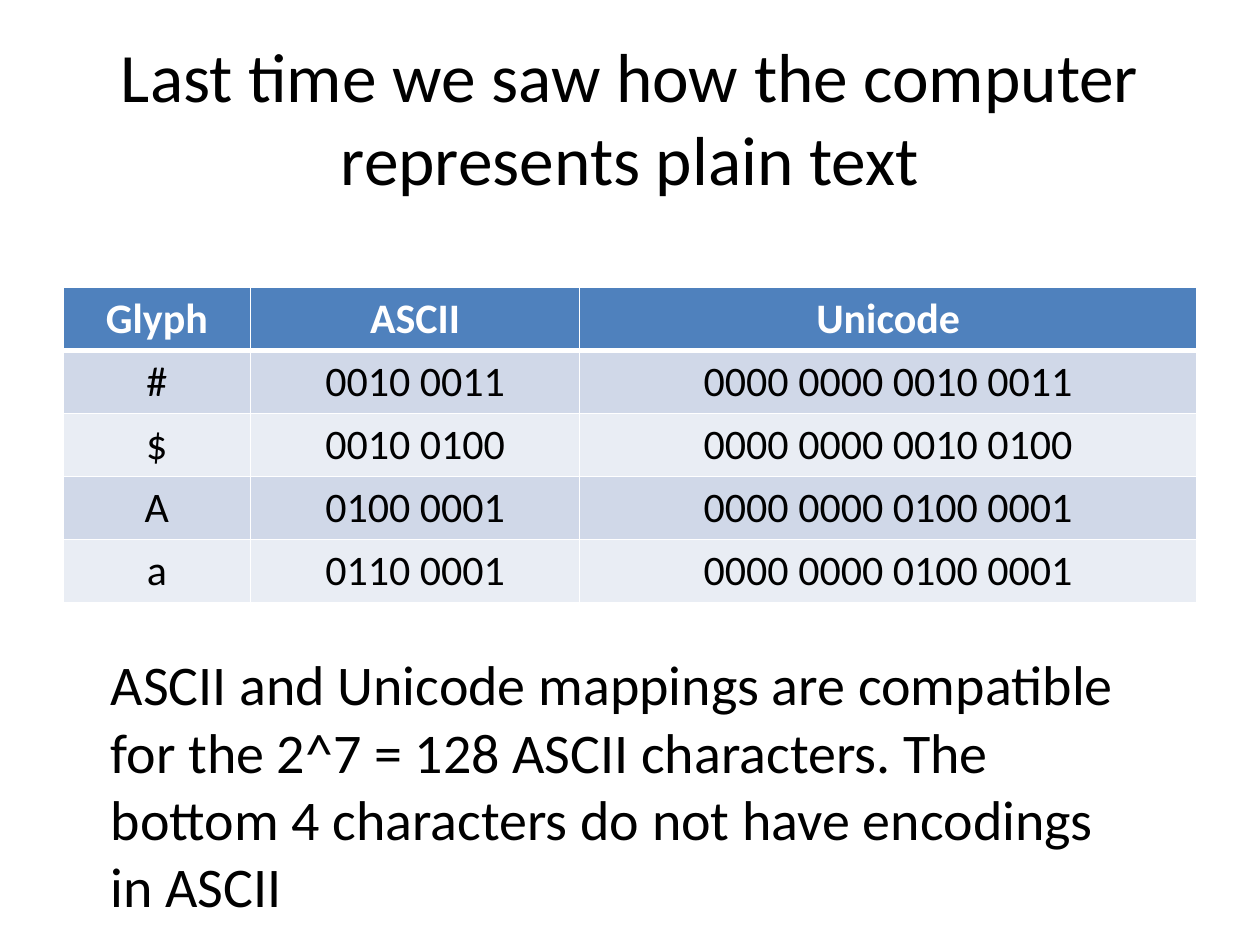
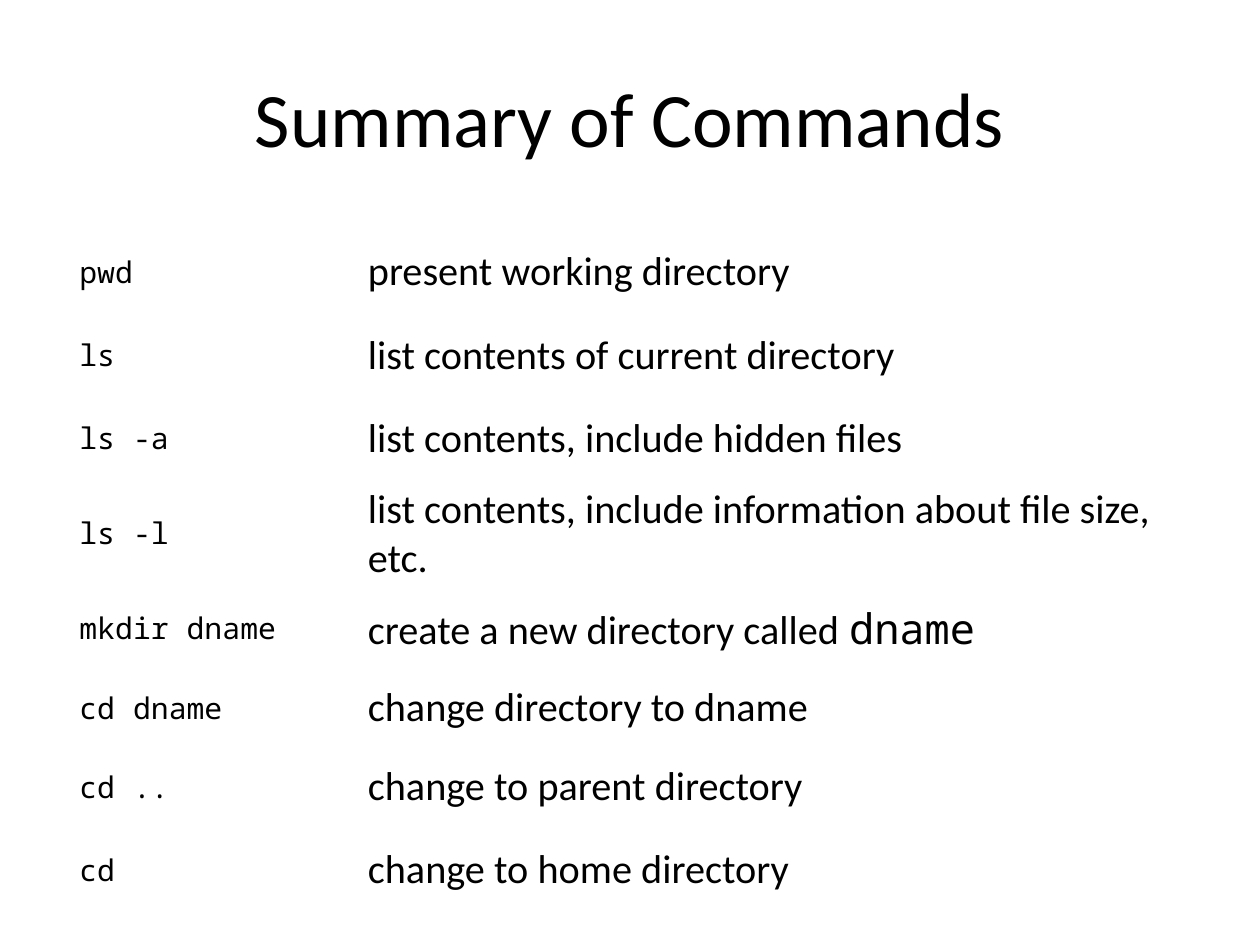
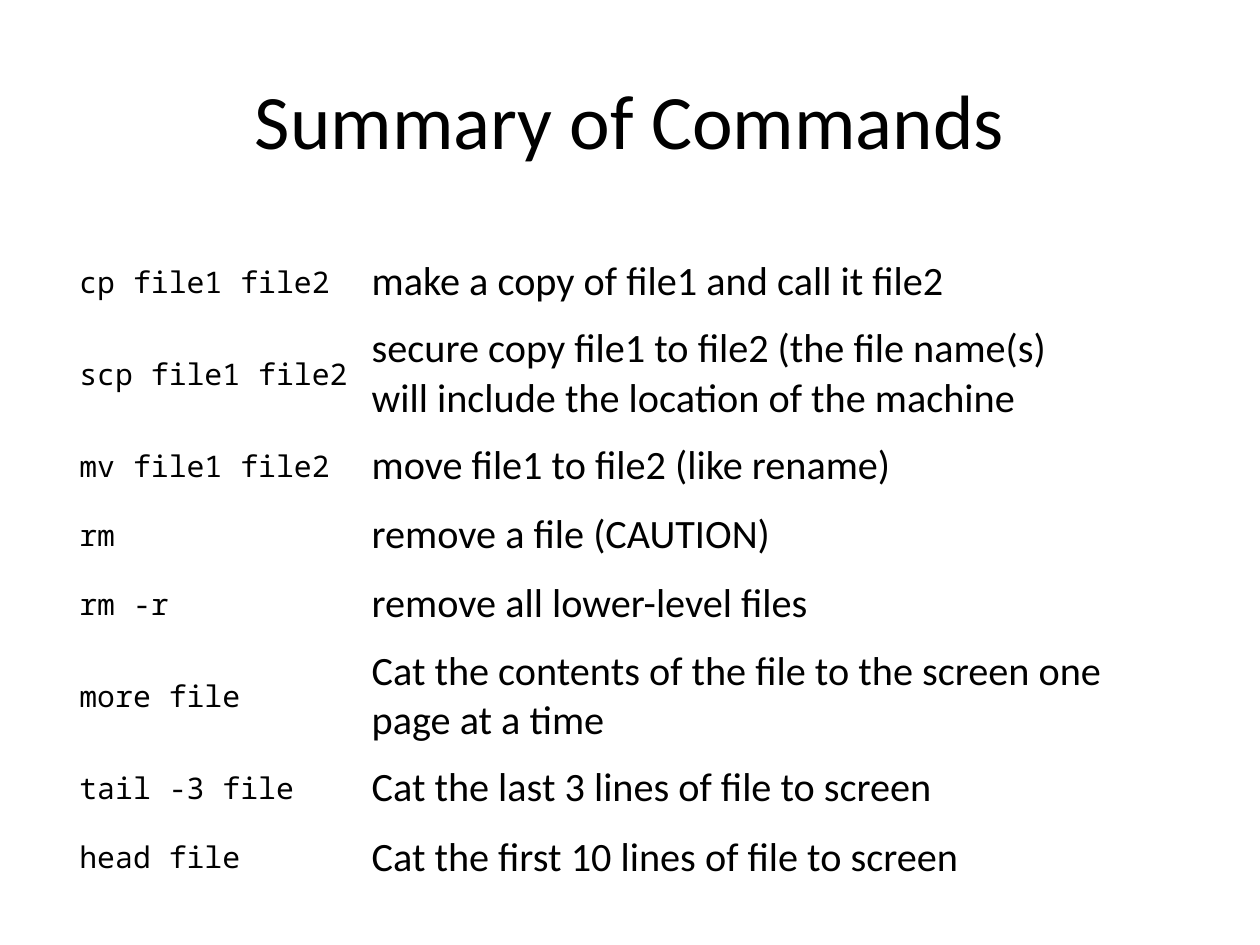
"""Build three slides on text encodings and shell commands."""
import pptx
import pptx.dml.color
import pptx.enum.text
import pptx.oxml
import pptx.oxml.ns
import pptx.util

ENCODING_TITLE = "Last time we saw how the computer represents plain text"
ENCODING_NOTE = (
    "ASCII and Unicode mappings are compatible for the 2^7 = 128 ASCII characters. "
    "The bottom 4 characters do not have encodings in ASCII"
)
ENCODINGS = [
    ("Glyph", "ASCII", "Unicode"),
    ("#", "0010 0011", "0000 0000 0010 0011"),
    ("$", "0010 0100", "0000 0000 0010 0100"),
    ("A", "0100 0001", "0000 0000 0100 0001"),
    ("a", "0110 0001", "0000 0000 0100 0001"),
]
SUMMARY_TITLE = "Summary of Commands"
DIRECTORY_COMMANDS = [
    ("pwd", "present working directory"),
    ("ls", "list contents of current directory"),
    ("ls -a", "list contents, include hidden files"),
    ("ls -l", "list contents, include information about file size, etc."),
    ("mkdir dname", "create a new directory called ", "dname"),
    ("cd dname", "change directory to dname"),
    ("cd ..", "change to parent directory"),
    ("cd", "change to home directory"),
]
FILE_COMMANDS = [
    ("cp file1 file2", "make a copy of file1 and call it file2"),
    ("scp file1 file2", "secure copy file1 to file2 (the file name(s) "
     "will include the location of the machine"),
    ("mv file1 file2", "move file1 to file2 (like rename)"),
    ("rm", "remove a file (CAUTION)"),
    ("rm -r", "remove all lower-level files"),
    ("more file", "Cat the contents of the file to the screen one page at a time"),
    ("tail -3 file", "Cat the last 3 lines of file to screen"),
    ("head file", "Cat the first 10 lines of file to screen"),
]

COLORS = {"text": "000000", "header": "4F81BD", "header_text": "FFFFFF",
          "odd": "D0D8E8", "even": "E9EDF4", "rule": "FFFFFF"}
BODY, MONO = "Calibri", "Noto Sans Mono"
LEFT = pptx.enum.text.PP_ALIGN.LEFT
CENTER = pptx.enum.text.PP_ALIGN.CENTER
TOP = pptx.enum.text.MSO_ANCHOR.TOP
MIDDLE = pptx.enum.text.MSO_ANCHOR.MIDDLE
Inches, Pt = pptx.util.Inches, pptx.util.Pt


def add_text(tf, text, size, font=BODY, color="text", bold=False, align=LEFT):
    p = tf.paragraphs[0]
    p.alignment = align
    r = p.add_run()
    r.text = text
    r.font.size = Pt(size)
    r.font.name = font
    r.font.bold = bold
    r.font.color.rgb = pptx.dml.color.RGBColor.from_string(COLORS[color])


def add_box(s, box, text, size, anchor=TOP, align=LEFT):
    tf = s.shapes.add_textbox(*map(Inches, box)).text_frame
    tf.word_wrap = True
    tf.vertical_anchor = anchor
    add_text(tf, text, size, align=align)


def add_slide(prs, title, size=44, top=0.3):
    s = prs.slides.add_slide(prs.slide_layouts[6])
    add_box(s, (0.5, top, 9, 1.25), title, size, MIDDLE, CENTER)
    return s


def add_grid(s, left, top, widths, heights, margins, anchor):
    table = s.shapes.add_table(
        len(heights), len(widths), Inches(left), Inches(top),
        Inches(sum(widths)), Inches(sum(heights))).table
    table.first_row = table.horz_banding = False
    for column, width in zip(table.columns, widths):
        column.width = Inches(width)
    for row, height in zip(table.rows, heights):
        row.height = Inches(height)
    for cell in table.iter_cells():
        cell.margin_left = cell.margin_right = Inches(margins[0])
        cell.margin_top = cell.margin_bottom = Inches(margins[1])
        cell.vertical_anchor = anchor
        cell.fill.background()
    return table


def set_borders(cell, **widths):
    tc_pr = cell._tc.get_or_add_tcPr()
    for i, (side, width) in enumerate(widths.items()):
        tc_pr.insert(i, pptx.oxml.parse_xml(
            f'<a:ln{side} {pptx.oxml.ns.nsdecls("a")} w="{Pt(width)}"><a:solidFill>'
            f'<a:srgbClr val="{COLORS["rule"]}"/></a:solidFill></a:ln{side}>'))


def add_encodings(s):
    table = add_grid(s, 0.5, 2.28, (1.49, 2.61, 4.9), [0.5] * len(ENCODINGS),
                     (0.14, 0.05), TOP)
    for i, row in enumerate(ENCODINGS):
        header = i == 0
        fill = "header" if header else "odd" if i % 2 else "even"
        for j, text in enumerate(row):
            cell = table.cell(i, j)
            cell.fill.solid()
            cell.fill.fore_color.rgb = pptx.dml.color.RGBColor.from_string(COLORS[fill])
            set_borders(cell, L=1, R=1, T=3 if i == 1 else 1, B=3 if header else 1)
            add_text(cell.text_frame, text, 24, bold=header, align=CENTER,
                     color="header_text" if header else "text")


def add_commands(s, commands, top, widths, heights):
    table = add_grid(s, 0.59, top, widths, heights, (0.04, 0.04), MIDDLE)
    for i, (command, meaning, *argument) in enumerate(commands):
        add_text(table.cell(i, 0).text_frame, command, 17, MONO)
        tf = table.cell(i, 1).text_frame
        add_text(tf, meaning, 23)
        for name in argument:
            add_text(tf, name, 24, MONO)


def main():
    prs = pptx.Presentation()
    prs.slide_width, prs.slide_height = Inches(10), Inches(7.5)

    s = add_slide(prs, ENCODING_TITLE, size=39.6)
    add_encodings(s)
    add_box(s, (0.78, 5.11, 8.32, 2.26), ENCODING_NOTE, 32)

    s = add_slide(prs, SUMMARY_TITLE)
    heights = [0.6 if row[0] == "cd dname" else 0.66 for row in DIRECTORY_COMMANDS]
    add_commands(s, DIRECTORY_COMMANDS, 1.83, (2.29, 6.84), heights)

    s = add_slide(prs, SUMMARY_TITLE, top=0.32)
    heights = [0.91 if len(row[1]) > 50 else 0.55 for row in FILE_COMMANDS]
    add_commands(s, FILE_COMMANDS, 1.96, (2.32, 5.96), heights)

    prs.save("out.pptx")


if __name__ == "__main__":
    main()
